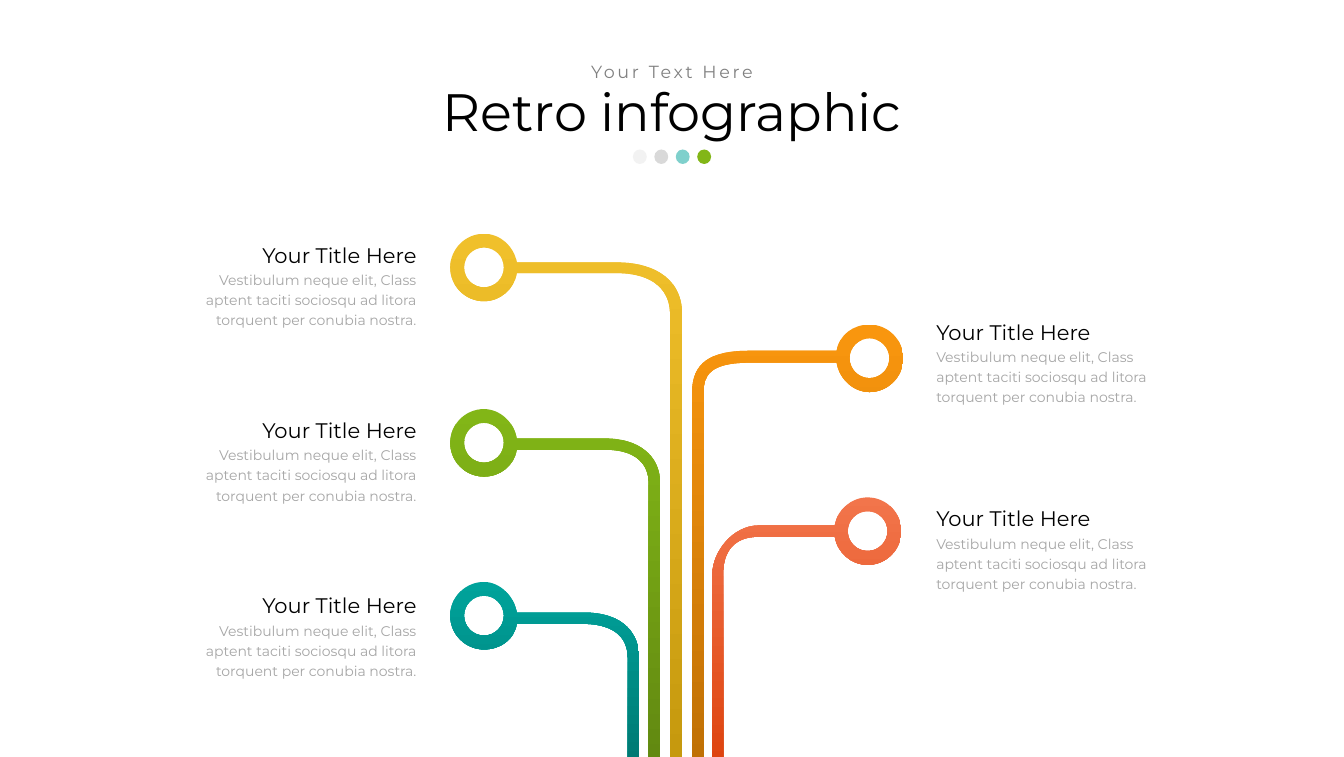
from lxml import etree
from pptx import Presentation
from pptx.dml.color import RGBColor
from pptx.enum.shapes import MSO_SHAPE
from pptx.enum.text import MSO_ANCHOR, MSO_AUTO_SIZE, PP_ALIGN
from pptx.oxml.ns import qn
from pptx.util import Inches, Pt

FONT = "Montserrat"
BLACK = RGBColor(0x00, 0x00, 0x00)
GRAY = RGBColor(0x80, 0x80, 0x80)
SILVER = RGBColor(0xA6, 0xA6, 0xA6)
PALE = RGBColor(0xF2, 0xF2, 0xF2)
MIST = RGBColor(0xD9, 0xD9, 0xD9)
GOLD = RGBColor(0xF0, 0xC0, 0x2B)
GOLD_DARK = RGBColor(0xC6, 0x99, 0x0E)
GREEN = RGBColor(0x82, 0xB6, 0x17)
GREEN_DARK = RGBColor(0x62, 0x89, 0x11)
TEAL = RGBColor(0x00, 0xA3, 0x9B)
TEAL_DARK = RGBColor(0x00, 0x7A, 0x74)
ORANGE = RGBColor(0xF9, 0x96, 0x0E)
ORANGE_DARK = RGBColor(0xC0, 0x71, 0x05)
CORAL = RGBColor(0xF2, 0x75, 0x4B)
CORAL_DARK = RGBColor(0xDE, 0x44, 0x10)

OUTER, INNER = 0.535, 0.315
ROUND = 0.55
FOOT = 12.04


def trace(path, points):
    """Add one closed contour: a start, then three points for each curve."""
    spots = [(Inches(x), Inches(y)) for x, y in points]
    path.move_to(*spots[0])
    path.add_line_segments(spots[1:], close=True)


def write(box, text, size, color, align, gap):
    frame = box.text_frame
    frame.word_wrap = True
    para = frame.paragraphs[0]
    para.alignment = align
    para.line_spacing = gap
    run = para.add_run()
    run.text = text
    run.font.name = FONT
    run.font.size = Pt(size)
    run.font.color.rgb = color
    return run


prs = Presentation()
prs.slide_width, prs.slide_height = Inches(21.3), Inches(12)
slide = prs.slides.add_slide(prs.slide_layouts[5])
shapes = slide.shapes

# Stems: ring centre, stem edges (low, high), turn x, shaft edges (near, far),
# drop y, curve pulls (inner, outer), colours
stems = [
    ((7.67, 4.24), (4.33, 4.16), 9.79, (10.62, 10.81), 4.99,
     ((0.3, 0.9), (0.44, 0.79)), (GOLD, GOLD_DARK)),
    ((7.67, 7.02), (7.13, 6.95), 9.59, (10.28, 10.46), 7.65,
     ((0.9, 0.31), (0.61, 0.61)), (GREEN, GREEN_DARK)),
    ((7.67, 9.76), (9.89, 9.71), 9.25, (9.95, 10.13), 10.43,
     ((0.37, 0.87), (0.75, 0.5)), (TEAL, TEAL_DARK)),
    ((13.78, 5.68), (5.75, 5.56), 11.87, (11.15, 10.97), 6.22,
     ((0.88, 0.54), (0.68, 0.71)), (ORANGE, ORANGE_DARK)),
    ((13.75, 8.42), (8.51, 8.33), 12.02, (11.46, 11.29), 9.1,
     ((0.7, 0.6), (0.56, 0.45)), (CORAL, CORAL_DARK)),
]
tree = shapes.add_group_shape().shapes
for (cx, cy), (low, high), turn, (near, far), drop, pulls, tones in stems:
    side = 1 if turn > cx else -1
    k = ROUND
    circle = [(-1, 0), (-1, -k), (-k, -1), (0, -1), (k, -1), (1, -k), (1, 0),
              (1, k), (k, 1), (0, 1), (-k, 1), (-1, k), (-1, 0)]
    hole = [(cx + INNER * x, cy + INNER * y) for x, y in circle]
    rim = [(cx + side * OUTER * x, cy + OUTER * y) for x, y in circle]

    join, lean, mid = cx + side * 0.52, cx + side * 0.48, cx + side * 0.26
    (in_x, in_y), (out_x, out_y) = pulls
    edge = rim[:8:-1]
    edge += [(mid, cy + OUTER), (lean, low + 0.25), (join, low)]
    edge += [(turn, low)] * 3
    edge += [(turn + (near - turn) * in_x, low),
             (near, drop - (drop - low) * in_y), (near, drop)]
    edge += [(near, FOOT)] * 3 + [(far, FOOT)] * 3 + [(far, drop)] * 3
    edge += [(far, drop - (drop - high) * out_y),
             (turn + (far - turn) * out_x, high), (turn, high)]
    edge += [(join, high)] * 3
    edge += [(lean, high - 0.25), (mid, cy - OUTER)] + rim[3::-1]

    path = tree.build_freeform(Inches(hole[0][0]), Inches(hole[0][1]))
    trace(path, hole)
    trace(path, edge)
    stem = path.convert_to_shape()
    lines = list(stem._element.iter(qn("a:lnTo")))
    for i in range(0, len(lines), 3):
        curve = etree.Element(qn("a:cubicBezTo"))
        lines[i].addprevious(curve)
        for line in lines[i:i + 3]:
            curve.append(line[0])
            line.getparent().remove(line)

    stem.shadow.inherit = False
    stem.line.fill.background()
    stem.fill.gradient()
    stem.fill.gradient_angle = 270
    for stop, tone in zip(stem.fill.gradient_stops, tones):
        stop.color.rgb = tone

# Heading
title = shapes.title
title.left, title.top = Inches(1.02), Inches(1.31)
title.width, title.height = Inches(19.26), Inches(1.03)
title.text_frame.vertical_anchor = MSO_ANCHOR.TOP
write(title, "Retro infographic", 60, BLACK, PP_ALIGN.CENTER, 0.9)

sub = shapes.add_textbox(Inches(7.48), Inches(0.95), Inches(6.34), Inches(0.35))
sub.text_frame.vertical_anchor = MSO_ANCHOR.TOP
run = write(sub, "Your Text Here", 20, GRAY, PP_ALIGN.CENTER, 0.9)
run.font._element.set("spc", "300")

dots = [(PALE, 100), (MIST, 98), (TEAL, 50), (GREEN, 100)]
row = shapes.add_group_shape().shapes
for i, (color, alpha) in enumerate(dots):
    dot = row.add_shape(MSO_SHAPE.OVAL, Inches(10.03 + 0.34 * i), Inches(2.37),
                        Inches(0.22), Inches(0.23))
    dot.shadow.inherit = False
    dot.line.fill.background()
    dot.fill.solid()
    dot.fill.fore_color.rgb = color
    if alpha < 100:
        tint = dot._element.spPr.find(qn("a:solidFill"))[0]
        etree.SubElement(tint, qn("a:alpha")).set("val", str(alpha * 1000))

# Labels
HEAD = "Your Title Here"
BODY = ("Vestibulum neque elit, Class aptent taciti sociosqu ad litora "
        "torquent per conubia nostra.")
columns = [(14.74, 14.74, PP_ALIGN.LEFT, (4.93, 7.89)),
           (2.97, 3.04, PP_ALIGN.RIGHT, (3.71, 6.49, 9.27))]
for head_x, body_x, align, tops in columns:
    for top in tops:
        pair = shapes.add_group_shape().shapes
        head = pair.add_textbox(Inches(head_x), Inches(top), Inches(3.73), Inches(0.55))
        write(head, HEAD, 24, BLACK, align, 1.2)
        body = pair.add_textbox(Inches(body_x), Inches(top + 0.49),
                                Inches(3.66), Inches(1.07))
        write(body, BODY, 16, SILVER, align, 1.2)
        for box in (head, body):
            box.text_frame.auto_size = MSO_AUTO_SIZE.SHAPE_TO_FIT_TEXT

prs.save("out.pptx")
